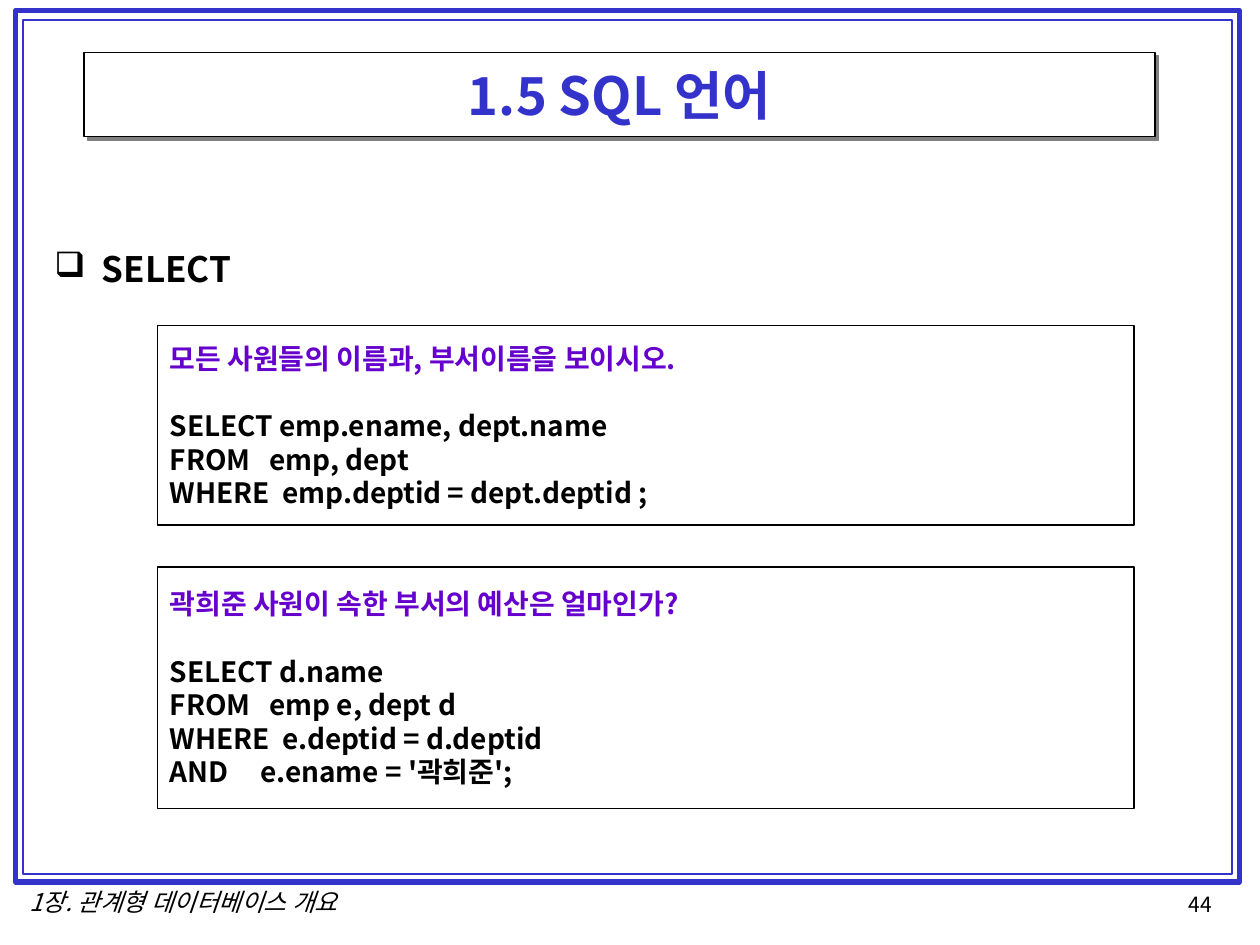
import pptx
import pptx.dml.color
import pptx.enum.shapes
import pptx.enum.text
import pptx.oxml
import pptx.oxml.ns
import pptx.util
from dataclasses import dataclass

Pt = pptx.util.Pt
ALIGN = pptx.enum.text.PP_ALIGN
ANCHOR = pptx.enum.text.MSO_ANCHOR


@dataclass(frozen=True)
class Theme:
    font: str = "Noto Sans CJK KR"
    blue: str = "3333CC"
    violet: str = "6600CC"
    black: str = "000000"
    white: str = "FFFFFF"
    shadow: str = "808080"
    title_size: int = 30
    heading_size: int = 20
    query_size: int = 16
    chapter_size: int = 14
    number_size: int = 12
    line_height: float = 1.2


def rgb(value):
    return pptx.dml.color.RGBColor.from_string(value)


class SlideBuilder:
    def __init__(self, slide, theme):
        self.slide = slide
        self.theme = theme

    def format_paragraph(self, paragraph, size, color, bold=False, italic=False,
                         alignment=ALIGN.LEFT):
        paragraph.alignment = alignment
        paragraph.line_spacing = Pt(size * self.theme.line_height)
        for run in paragraph.runs:
            font = run.font
            font.name, font.size = self.theme.font, Pt(size)
            font.bold, font.italic = bold, italic
            font.color.rgb = rgb(color)
            east_asian = pptx.oxml.parse_xml(
                f'<a:ea {pptx.oxml.ns.nsdecls("a")} typeface="{self.theme.font}"/>')
            run.font._element.find(pptx.oxml.ns.qn("a:latin")).addnext(east_asian)

    def rectangle(self, box, color, width):
        shape = self.slide.shapes.add_shape(
            pptx.enum.shapes.MSO_SHAPE.RECTANGLE, *map(Pt, box))
        shape.shadow.inherit = False
        shape.fill.background()
        shape.line.color.rgb = rgb(color)
        shape.line.width = Pt(width)
        return shape

    def title(self, text, box):
        shape = self.slide.shapes.title
        shape.left, shape.top, shape.width, shape.height = map(Pt, box)
        shape.fill.solid()
        shape.fill.fore_color.rgb = rgb(self.theme.white)
        shape.line.color.rgb = rgb(self.theme.black)
        shape.line.width = Pt(0.75)
        # Hard shadow towards the lower right
        shape._element.spPr.append(pptx.oxml.parse_xml(
            f'<a:effectLst {pptx.oxml.ns.nsdecls("a")}>'
            f'<a:outerShdw dist="{Pt(2.8)}" dir="2700000" algn="ctr" rotWithShape="0">'
            f'<a:srgbClr val="{self.theme.shadow}"/></a:outerShdw></a:effectLst>'))
        frame = shape.text_frame
        frame.text = text
        frame.vertical_anchor = ANCHOR.MIDDLE
        self.format_paragraph(frame.paragraphs[0], self.theme.title_size,
                              self.theme.blue, bold=True, alignment=ALIGN.CENTER)

    def label(self, text, box, size, wrap=False, **style):
        frame = self.slide.shapes.add_textbox(*map(Pt, box)).text_frame
        frame.word_wrap = wrap
        frame.text = text
        self.format_paragraph(frame.paragraphs[0], size, self.theme.black, **style)
        return frame.paragraphs[0]

    def bullet_heading(self, text, box):
        paragraph = self.label(text, box, self.theme.heading_size, wrap=True, bold=True)
        properties = paragraph._p.get_or_add_pPr()
        properties.set("marL", str(Pt(27)))
        properties.set("indent", str(Pt(-27)))
        properties.append(pptx.oxml.parse_xml(
            f'<a:buChar {pptx.oxml.ns.nsdecls("a")} char="❑"/>'))

    def query_box(self, question, query, box):
        frame = self.rectangle(box, self.theme.black, 0.75).text_frame
        frame.word_wrap = False
        frame.vertical_anchor = ANCHOR.MIDDLE
        frame.text = "\n".join([question, *query])
        size = self.theme.query_size
        for index, paragraph in enumerate(frame.paragraphs):
            color = self.theme.black if index else self.theme.violet
            self.format_paragraph(paragraph, size, color, bold=True)
        # One line of space between the question and its query
        frame.paragraphs[1].space_before = Pt(size * self.theme.line_height)


def main():
    presentation = pptx.Presentation()
    presentation.slide_width, presentation.slide_height = Pt(720), Pt(540)
    slide = presentation.slides.add_slide(presentation.slide_layouts[5])
    theme = Theme()
    builder = SlideBuilder(slide, theme)

    # Footer
    builder.label("44", (672, 506, 32, 22), theme.number_size)
    builder.label("1장. 관계형 데이터베이스 개요", (0, 503.5, 209.5, 24),
                  theme.chapter_size, italic=True, alignment=ALIGN.CENTER)

    # Double page frame
    builder.rectangle((8.9, 6, 699.4, 498), theme.blue, 3)
    builder.rectangle((13.2, 11.5, 691, 488), theme.blue, 1)

    # Title and heading
    builder.title("1.5 SQL 언어", (48, 30, 612, 48))
    builder.bullet_heading("SELECT", (24, 138, 672, 348))

    # Example queries
    builder.query_box(
        "모든 사원들의 이름과, 부서이름을 보이시오.",
        ["SELECT emp.ename, dept.name",
         "FROM   emp, dept",
         "WHERE  emp.deptid = dept.deptid ;"],
        (90, 186, 558, 114))
    builder.query_box(
        "곽희준 사원이 속한 부서의 예산은 얼마인가?",
        ["SELECT d.name",
         "FROM   emp e, dept d",
         "WHERE  e.deptid = d.deptid",
         "AND     e.ename = '곽희준';"],
        (90, 324, 558, 138))

    presentation.save("out.pptx")


if __name__ == "__main__":
    main()
